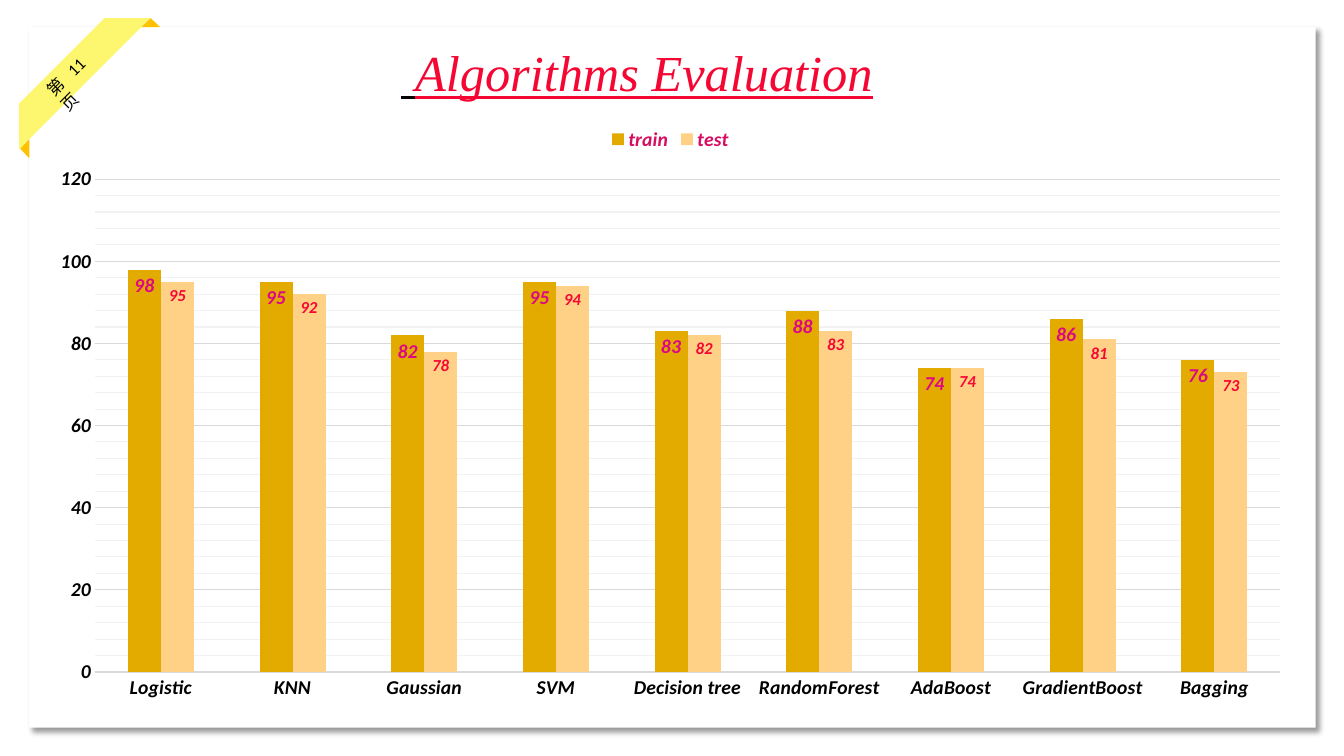
from lxml import etree
from pptx import Presentation
from pptx.chart.data import CategoryChartData
from pptx.dml.color import RGBColor
from pptx.enum.chart import XL_CHART_TYPE, XL_LABEL_POSITION, XL_LEGEND_POSITION, XL_TICK_MARK
from pptx.enum.shapes import MSO_SHAPE
from pptx.enum.text import MSO_ANCHOR
from pptx.oxml import parse_xml
from pptx.oxml.ns import nsdecls, qn
from pptx.util import Inches, Pt

RECT, TRIANGLE, STRIPE = MSO_SHAPE.RECTANGLE, MSO_SHAPE.ISOSCELES_TRIANGLE, MSO_SHAPE.DIAGONAL_STRIPE
MIDDLE, TOP = MSO_ANCHOR.MIDDLE, MSO_ANCHOR.TOP
COLUMNS, INSIDE_END = XL_CHART_TYPE.COLUMN_CLUSTERED, XL_LABEL_POSITION.INSIDE_END
LEGEND_TOP, NO_TICK = XL_LEGEND_POSITION.TOP, XL_TICK_MARK.NONE

THEME = {
    "black": "000000", "white": "FFFFFF", "red": "F50734", "legend": "D70D62",
    "fold": "FFC000", "ribbon": "FDF770", "grid": "D9D9D9", "minor": "F2F2F2",
    "body": "Calibri", "heading": "Times New Roman", "lead": "Arial",
    "title_size": 36, "chart_size": 14, "small_size": 12, "hairline": 0.75,
}

TITLE = "Algorithms Evaluation"
PAGE = ["第", " ", "11", " ", "页"]
CATEGORIES = ["Logistic", "KNN", "Gaussian", "SVM", "Decision tree",
              "RandomForest", "AdaBoost", "GradientBoost", "Bagging"]
SERIES = [
    {"name": "train", "values": [98, 95, 82, 95, 83, 88, 74, 86, 76],
     "fill": "E3AB00", "label": "DC0885", "size": THEME["chart_size"]},
    {"name": "test", "values": [95, 92, 78, 94, 82, 83, 74, 81, 73],
     "fill": "FFD187", "label": THEME["red"], "size": THEME["small_size"]},
]
FOLDS = [((1.4, 0.18, 0.19, 0.09), 0), ((0.15, 1.43, 0.19, 0.09), 270)]
PLOT = {"x": 0.047, "y": 0.106, "w": 0.933, "h": 0.826}


def color(value):
    return RGBColor.from_string(value)


def style(font, size, ink, face=THEME["body"], bold=False, italic=False, underline=False):
    font.size, font.name = Pt(size), face
    font.bold, font.italic, font.underline = bold, italic, underline
    font.color.rgb = color(ink)


def add_run(p, text, spacing=0, **fmt):
    r = p.add_run()
    r.text = text
    style(r.font, **fmt)
    if spacing:
        r.font._element.set("spc", str(spacing * 100))


def text_box(s, box, anchor, rotation=0):
    sp = s.shapes.add_textbox(*map(Inches, box))
    sp.rotation = rotation
    tf = sp.text_frame
    tf.word_wrap, tf.vertical_anchor = True, anchor
    return tf.paragraphs[0]


def add_block(shapes, kind, box, fill):
    sp = shapes.add_shape(kind, *map(Inches, box))
    sp.shadow.inherit = False
    sp.fill.solid()
    sp.fill.fore_color.rgb = color(fill)
    sp.line.fill.background()
    return sp


def add_card(s):
    sp = add_block(s.shapes, RECT, (0.29, 0.27, 12.76, 6.95), THEME["white"])
    effects = sp._element.spPr.find(qn("a:effectLst"))
    effects.append(parse_xml(
        f'<a:outerShdw {nsdecls("a")} blurRad="{Pt(4)}" dist="{Pt(4)}" dir="2700000" '
        f'algn="tl" rotWithShape="0"><a:srgbClr val="{THEME["black"]}">'
        '<a:alpha val="40000"/></a:srgbClr></a:outerShdw>'))


def add_ribbon(s):
    group = s.shapes.add_group_shape()
    for box, rotation in FOLDS:
        sp = add_block(group.shapes, TRIANGLE, box, THEME["fold"])
        sp.rotation = rotation
        sp._element.spPr.find(qn("a:xfrm")).set("flipH", "1")
    stripe = add_block(group.shapes, STRIPE, (0.19, 0.18, 1.3, 1.3), THEME["ribbon"])
    stripe.adjustments[0] = 0.652
    p = text_box(s, (0.29, 0.53, 0.89, 0.3), TOP, rotation=314.9)
    for part in PAGE:
        add_run(p, part, spacing=6 if part == " " else 0,
                size=THEME["small_size"], ink=THEME["black"])


def add_title(s):
    p = text_box(s, (0.82, 0.23, 11.5, 1.04), MIDDLE)
    p.line_spacing = 0.9
    p._p.get_or_add_pPr().set("marL", str(Inches(3.06)))
    add_run(p, " ", size=THEME["title_size"], ink=THEME["black"],
            face=THEME["lead"], underline=True)
    add_run(p, TITLE, size=THEME["title_size"], ink=THEME["red"],
            face=THEME["heading"], italic=True, underline=True)


def draw_line(line, ink):
    line.color.rgb = color(ink)
    line.width = Pt(THEME["hairline"])


def style_axes(chart):
    cat, val = chart.category_axis, chart.value_axis
    for axis in (cat, val):
        axis.major_tick_mark = axis.minor_tick_mark = NO_TICK
        style(axis.tick_labels.font, THEME["chart_size"], THEME["black"], bold=True, italic=True)
    draw_line(cat.format.line, THEME["grid"])
    val.format.line.fill.background()
    val.minimum_scale, val.maximum_scale = 0, 120
    val.major_unit, val.minor_unit = 20, 4
    val.has_major_gridlines = val.has_minor_gridlines = True
    draw_line(val.major_gridlines.format.line, THEME["grid"])
    minor = val._element.find(qn("c:minorGridlines"))
    minor.append(parse_xml(
        f'<c:spPr {nsdecls("c", "a")}><a:ln w="{Pt(THEME["hairline"])}"><a:solidFill>'
        f'<a:srgbClr val="{THEME["minor"]}"/></a:solidFill></a:ln></c:spPr>'))


def place_plot(chart):
    area = chart._chartSpace.chart.plotArea
    for old in area.findall(qn("c:layout")):
        area.remove(old)
    layout = etree.Element(qn("c:layout"))
    manual = etree.SubElement(layout, qn("c:manualLayout"))
    settings = {"layoutTarget": "inner", "xMode": "edge", "yMode": "edge", **PLOT}
    for tag, value in settings.items():
        etree.SubElement(manual, qn(f"c:{tag}")).set("val", str(value))
    area.insert(0, layout)


def add_scores(s):
    data = CategoryChartData()
    data.categories = CATEGORIES
    for item in SERIES:
        data.add_series(item["name"], item["values"])
    box = map(Inches, (0.35, 1.15, 12.6, 5.92))
    chart = s.shapes.add_chart(COLUMNS, *box, data).chart
    style(chart.font, 10, THEME["black"])
    chart.has_title = False
    chart.has_legend = True
    chart.legend.position = LEGEND_TOP
    chart.legend.include_in_layout = False
    style(chart.legend.font, THEME["chart_size"], THEME["legend"], bold=True, italic=True)
    style_axes(chart)
    plot = chart.plots[0]
    plot.gap_width, plot.overlap, plot.vary_by_categories = 199, 0, False
    for series, item in zip(plot.series, SERIES):
        series.format.fill.solid()
        series.format.fill.fore_color.rgb = color(item["fill"])
        labels = series.data_labels
        labels.show_value, labels.position = True, INSIDE_END
        style(labels.font, item["size"], item["label"], bold=True, italic=True)
    place_plot(chart)


def main():
    prs = Presentation()
    prs.slide_width, prs.slide_height = Inches(13.33), Inches(7.5)
    s = prs.slides.add_slide(prs.slide_layouts[6])
    add_card(s)
    add_ribbon(s)
    add_title(s)
    add_scores(s)
    prs.save("out.pptx")


if __name__ == "__main__":
    main()
